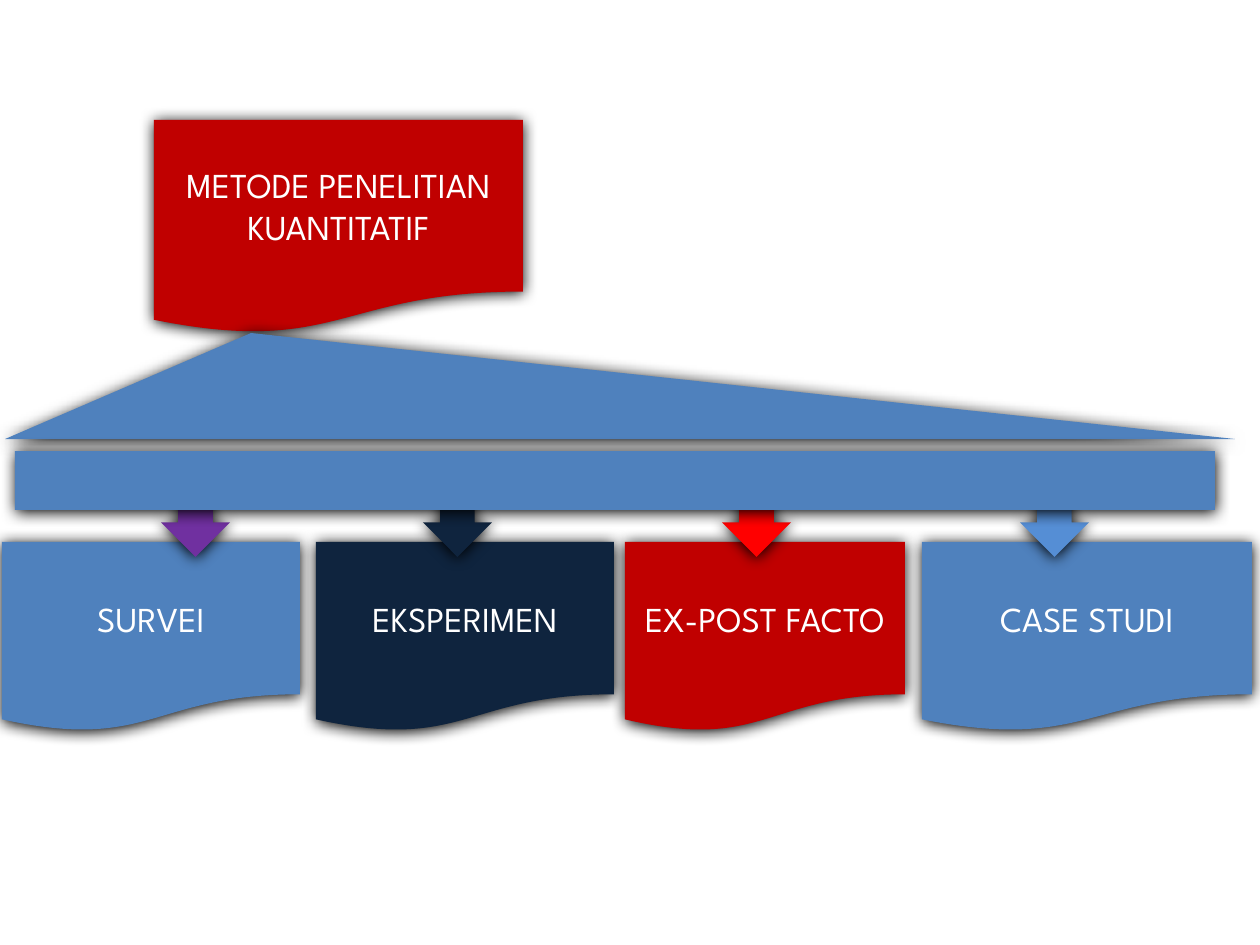
from lxml.etree import SubElement
from pptx import Presentation
from pptx.dml.color import RGBColor
from pptx.enum.shapes import MSO_SHAPE as Shape
from pptx.enum.text import MSO_ANCHOR as Anchor, PP_ALIGN as Align
from pptx.oxml.ns import qn
from pptx.util import Pt

EMU_PER_PX = 914400 / 126
FONT = "League Spartan"
WHITE = RGBColor(0xFF, 0xFF, 0xFF)
BLUE = RGBColor(0x4F, 0x81, 0xBD)
LIGHT_BLUE = RGBColor(0x55, 0x8E, 0xD5)
NAVY = RGBColor(0x0F, 0x24, 0x3E)
DARK_RED = RGBColor(0xC0, 0x00, 0x00)
RED = RGBColor(0xFF, 0x00, 0x00)
PURPLE = RGBColor(0x70, 0x30, 0xA0)


def px(length):
    return round(length * EMU_PER_PX)


def add_block(text="", *, kind, box, fill, size=20, color=WHITE):
    """Add a borderless shape with a soft black shadow and centred text."""
    block = slide.shapes.add_shape(kind, *map(px, box))
    block.fill.solid()
    block.fill.fore_color.rgb = fill
    block.line.fill.background()
    block.shadow.inherit = False
    effects = block._element.spPr.find(qn("a:effectLst"))
    shadow = SubElement(effects, qn("a:outerShdw"), blurRad=str(Pt(8.5)),
                        dist=str(Pt(1)), dir="5400000", algn="ctr", rotWithShape="0")
    SubElement(shadow, qn("a:srgbClr"), val="000000")
    if text:
        frame = block.text_frame
        frame.word_wrap = True
        frame.vertical_anchor = Anchor.MIDDLE
        paragraph = frame.paragraphs[0]
        paragraph.alignment = Align.CENTER
        run = paragraph.add_run()
        run.text = text
        run.font.name = FONT
        run.font.size = Pt(size)
        run.font.color.rgb = color
    return block


prs = Presentation()
prs.slide_width, prs.slide_height = px(1260), px(945)
slide = prs.slides.add_slide(prs.slide_layouts[6])

# label, left, width, fill, arrow left, arrow fill
methods = [
    ("SURVEI", 2, 298, BLUE, 161, PURPLE),
    ("EKSPERIMEN", 316, 298, NAVY, 423, NAVY),
    ("EX-POST FACTO", 625, 280, DARK_RED, 722, RED),
    ("CASE STUDI", 922, 330, BLUE, 1020, LIGHT_BLUE),
]
for label, left, width, fill, _, _ in methods:
    add_block(label, kind=Shape.FLOWCHART_DOCUMENT, box=(left, 542, width, 190), fill=fill)

add_block("METODE PENELITIAN KUANTITATIF", kind=Shape.FLOWCHART_DOCUMENT,
          box=(154, 120, 369, 214), fill=DARK_RED)

roof = add_block(kind=Shape.ISOSCELES_TRIANGLE, box=(5, 333, 1230, 106), fill=BLUE)
roof.adjustments[0] = 0.2

for _, _, _, _, arrow_left, arrow_fill in methods:
    add_block(kind=Shape.DOWN_ARROW, box=(arrow_left, 483, 69, 74), fill=arrow_fill)

# The bar comes last so that it covers the arrow shafts
add_block(kind=Shape.RECTANGLE, box=(15, 451, 1200, 59), fill=BLUE)

prs.save("out.pptx")
